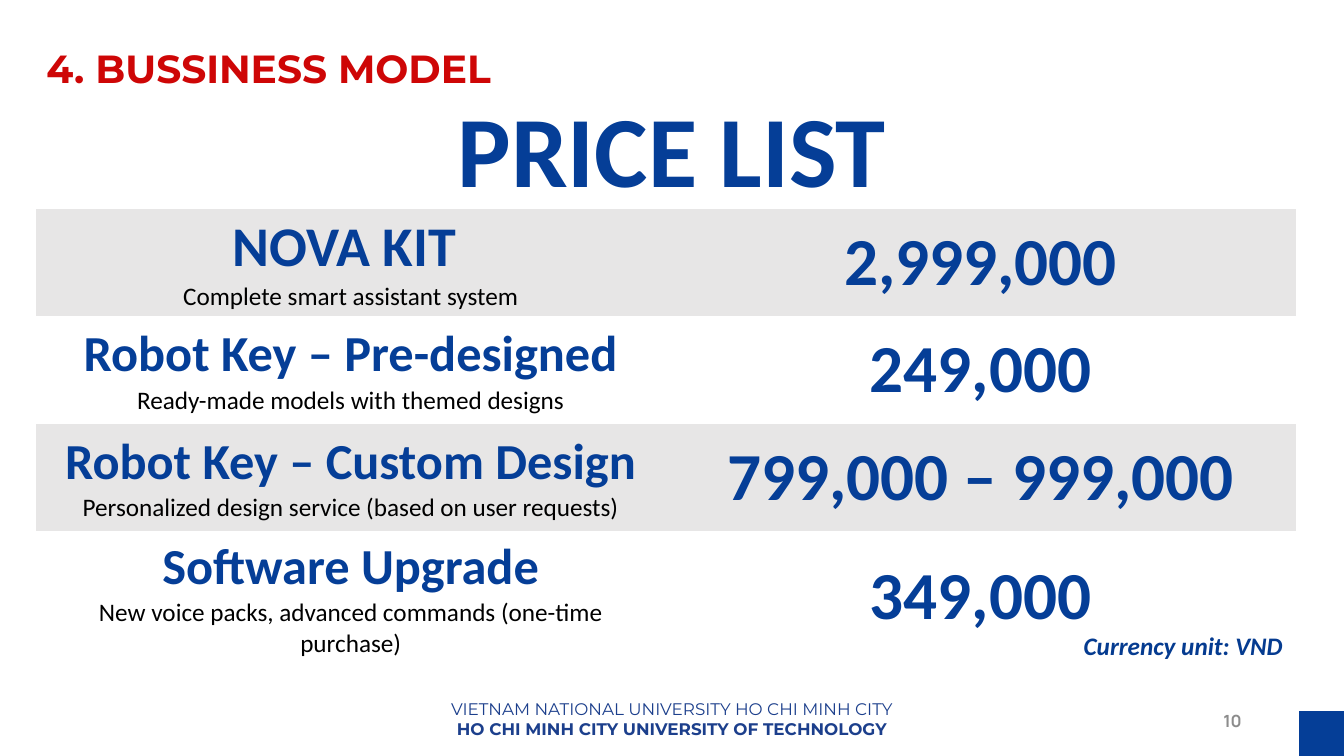
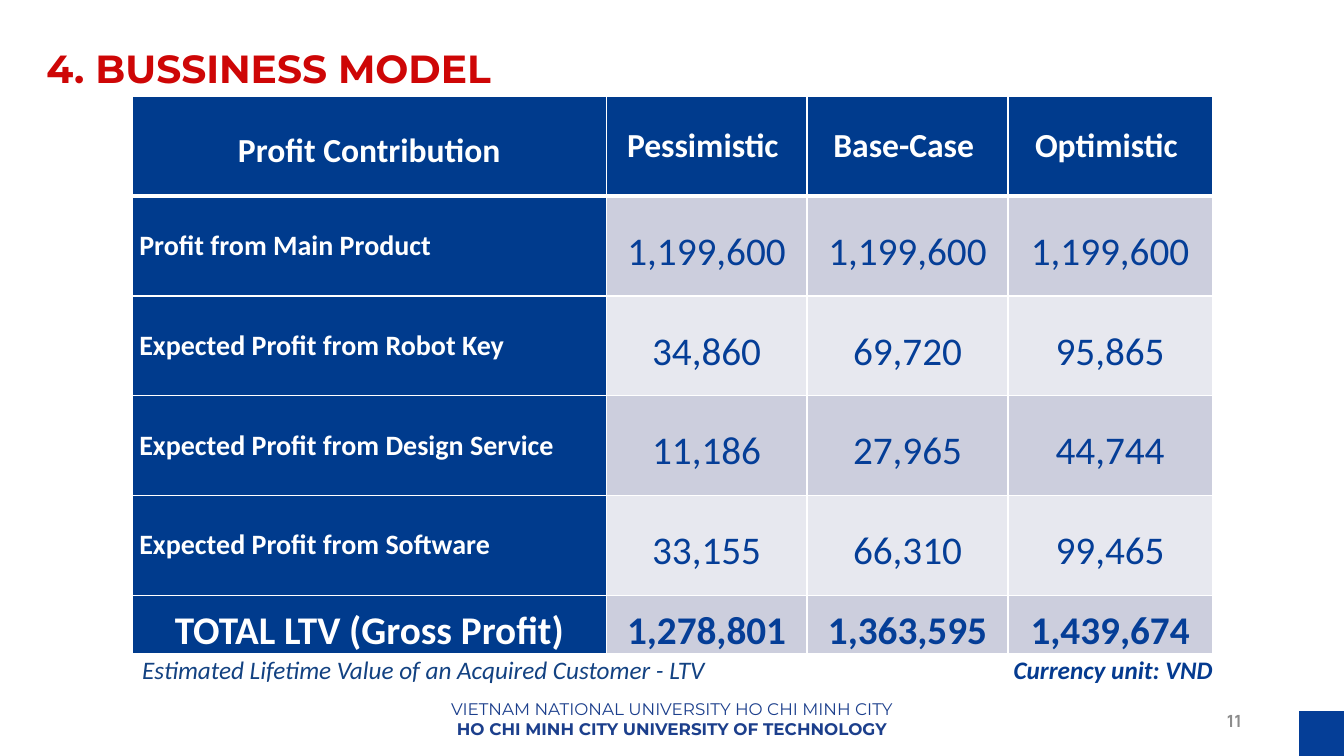
from dataclasses import dataclass
from lxml.etree import SubElement
from pptx import Presentation
from pptx.dml.color import RGBColor
from pptx.enum.shapes import MSO_SHAPE as Shape
from pptx.enum.text import MSO_ANCHOR as Anchor, MSO_AUTO_SIZE as AutoSize, PP_ALIGN as Align
from pptx.oxml.ns import qn
from pptx.util import Pt


@dataclass(frozen=True)
class Theme:
    blue: str = "053E97"
    header_blue: str = "003B8D"
    unit_blue: str = "053B90"
    caption_blue: str = "134282"
    footer_blue: str = "1C3F8C"
    red: str = "CE0606"
    grey: str = "8C8C8C"
    stripe: str = "E7E6E6"
    band_dark: str = "CCCEDD"
    band_light: str = "E7E8EF"
    white: str = "FFFFFF"
    black: str = "000000"
    body_font: str = "Calibri"
    brand_font: str = "Montserrat"
    number_font: str = "Manrope"
    small: int = 12
    note: int = 18
    label: int = 20
    heading: int = 24
    title: int = 28
    value: int = 28
    item: int = 36
    kit: int = 40
    price: int = 48
    banner: int = 72


THEME = Theme()
PLAIN_TABLE = "{2D5ABB26-0587-4C30-8999-92F81FD0307C}"


@dataclass(frozen=True)
class Style:
    size: int
    color: str
    bold: bool = False
    italic: bool = False
    align: Align = Align.CENTER
    font: str = THEME.body_font
    gap: int = 0
    spacing: float = 1.0


TITLE = Style(THEME.title, THEME.red, True, align=Align.LEFT, font=THEME.brand_font)
FOOTER = Style(THEME.small, THEME.footer_blue, font=THEME.brand_font)
FOOTER_BOLD = Style(THEME.small, THEME.footer_blue, True, font=THEME.brand_font)
NUMBER = Style(THEME.small, THEME.grey, True, align=Align.RIGHT, font=THEME.number_font)
BANNER = Style(THEME.banner, THEME.blue, True)
KIT = Style(THEME.kit, THEME.blue, True)
ITEM = Style(THEME.item, THEME.blue, True)
DETAIL = Style(THEME.note, THEME.black)
PRICE = Style(THEME.price, THEME.blue, True)
UNIT = Style(THEME.note, THEME.unit_blue, True, True, Align.LEFT)
CAPTION = Style(THEME.note, THEME.caption_blue, italic=True, align=Align.JUSTIFY)
CORNER = Style(THEME.heading, THEME.white, True, gap=6, spacing=1.25)
HEADING = Style(THEME.heading, THEME.white, True, gap=6)
LABEL = Style(THEME.label, THEME.white, True, align=Align.LEFT, gap=6)
VALUE = Style(THEME.value, THEME.blue, gap=6, spacing=1.25)
TOTAL_LABEL = Style(THEME.value, THEME.white, True, gap=6, spacing=1.25)
TOTAL = Style(THEME.value, THEME.blue, True, gap=6, spacing=1.25)

PRICES = [
    ("NOVA KIT ", KIT, "Complete smart assistant system", "2,999,000"),
    ("Robot Key – Pre-designed", ITEM, "Ready-made models with themed designs", "249,000"),
    ("Robot Key – Custom Design", ITEM,
     "Personalized design service (based on user requests)", "799,000 – 999,000"),
    ("Software Upgrade", ITEM,
     "New voice packs, advanced commands (one-time purchase)", "349,000"),
]
PROFITS = [
    ("Profit Contribution", "Pessimistic ", "Base-Case ", "Optimistic "),
    ("Profit from Main Product", "1,199,600", "1,199,600", "1,199,600"),
    ("Expected Profit from Robot Key", "34,860", "69,720", "95,865"),
    ("Expected Profit from Design Service", "11,186", "27,965", "44,744"),
    ("Expected Profit from Software", "33,155", "66,310", "99,465"),
    ("TOTAL LTV (Gross Profit)", "1,278,801", "1,363,595", "1,439,674"),
]


def write(frame, *lines):
    """Fill a text frame with (text, style) lines, one paragraph each."""
    for index, (text, style) in enumerate(lines):
        para = frame.add_paragraph() if index else frame.paragraphs[0]
        para.text = text
        para.alignment = style.align
        para.line_spacing = style.spacing
        if style.gap:
            para.space_before = para.space_after = Pt(style.gap)
        font = para.font
        font.name, font.size = style.font, Pt(style.size)
        font.bold, font.italic = style.bold, style.italic
        font.color.rgb = RGBColor.from_string(style.color)


def add_text(page, box, *lines, anchor=Anchor.TOP, wrap=True):
    frame = page.shapes.add_textbox(*map(Pt, box)).text_frame
    frame.word_wrap = wrap
    frame.vertical_anchor = anchor
    write(frame, *lines)


def add_page(deck, title, number):
    """Add a slide with the shared title, footer, number and corner square."""
    page = deck.slides.add_slide(deck.slide_layouts[5])
    heading = page.shapes.title
    heading.left, heading.top, heading.width, heading.height = map(Pt, (26, 28, 658, 41))
    frame = heading.text_frame
    frame.auto_size = AutoSize.NONE
    frame.word_wrap = True
    frame.vertical_anchor = Anchor.TOP
    write(frame, (title, TITLE))
    add_text(page, (0, 495.5, 960, 34),
             ("VIETNAM NATIONAL UNIVERSITY HO CHI MINH CITY", FOOTER),
             ("HO CHI MINH CITY UNIVERSITY OF TECHNOLOGY", FOOTER_BOLD))
    add_text(page, (857.5, 500.5, 36.5, 29), (str(number), NUMBER), anchor=Anchor.MIDDLE)
    side = 32
    corner = page.shapes.add_shape(
        Shape.RECTANGLE, Pt(960 - side), Pt(540 - side), Pt(side), Pt(side))
    corner.shadow.inherit = False
    corner.fill.solid()
    corner.fill.fore_color.rgb = RGBColor.from_string(THEME.blue)
    corner.line.fill.background()
    return page


def add_plain_table(page, left, top, widths, heights):
    table = page.shapes.add_table(len(heights), len(widths), Pt(left), Pt(top),
                                  Pt(sum(widths)), Pt(sum(heights))).table
    table.first_row = table.horz_banding = False
    table._tbl.tblPr.find(qn("a:tableStyleId")).text = PLAIN_TABLE
    for column, width in zip(table.columns, widths):
        column.width = Pt(width)
    for row, height in zip(table.rows, heights):
        row.height = Pt(height)
    return table


def fill_cell(cell, color, *lines):
    cell.vertical_anchor = Anchor.MIDDLE
    if color:
        cell.fill.solid()
        cell.fill.fore_color.rgb = RGBColor.from_string(color)
    else:
        cell.fill.background()
    write(cell.text_frame, *lines)


def add_borders(cell, top, bottom):
    """Draw white cell edges; top and bottom are widths in points."""
    properties = cell._tc.get_or_add_tcPr()
    for tag, width in (("lnL", 1), ("lnR", 1), ("lnT", top), ("lnB", bottom)):
        line = SubElement(properties, qn(f"a:{tag}"), w=str(Pt(width)))
        fill = SubElement(line, qn("a:solidFill"))
        SubElement(fill, qn("a:srgbClr"), val=THEME.white)


def add_price_table(page, left, top, width, row_height):
    table = add_plain_table(page, left, top, [width / 2] * 2, [row_height] * len(PRICES))
    for index, (name, style, detail, price) in enumerate(PRICES):
        color = None if index % 2 else THEME.stripe
        fill_cell(table.cell(index, 0), color, (name, style), (detail, DETAIL))
        fill_cell(table.cell(index, 1), color, (price, PRICE))


def profit_style(row, column):
    """Return the fill and text style for a cell of the profit table."""
    last = len(PROFITS) - 1
    if row == 0:
        return THEME.header_blue, HEADING if column else CORNER
    if column == 0:
        return THEME.header_blue, TOTAL_LABEL if row == last else LABEL
    band = THEME.band_dark if row % 2 else THEME.band_light
    return band, TOTAL if row == last else VALUE


def add_profit_table(page, left, top):
    heights = [71.25] * (len(PROFITS) - 1) + [39.5]
    table = add_plain_table(page, left, top, [338.5, 143.5, 143.5, 146], heights)
    for row, texts in enumerate(PROFITS):
        for column, text in enumerate(texts):
            cell = table.cell(row, column)
            cell.margin_left = cell.margin_right = Pt(5)
            cell.margin_top = cell.margin_bottom = 0
            add_borders(cell, 3 if row == 1 else 1, 3 if row == 0 else 1)
            color, style = profit_style(row, column)
            fill_cell(cell, color, (text, style))


def add_unit_note(page, left, top):
    add_text(page, (left, top, 158.5, 29), ("Currency unit: VND", UNIT), wrap=False)


def build_price_page(deck, title, number):
    page = add_page(deck, title, number)
    add_text(page, (311, 58, 338, 94.5), ("PRICE LIST", BANNER), anchor=Anchor.MIDDLE)
    add_price_table(page, 25.5, 149, 900, 76.75)
    add_unit_note(page, 767, 447)


def build_profit_page(deck, title, number):
    page = add_page(deck, title, number)
    add_profit_table(page, 94.5, 69)
    add_text(page, (94.5, 464, 417.5, 29),
             ("Estimated Lifetime Value of an Acquired Customer - LTV", CAPTION))
    add_unit_note(page, 717, 464)


def main():
    deck = Presentation()
    deck.slide_width, deck.slide_height = Pt(960), Pt(540)
    title = "4. BUSSINESS MODEL"
    for number, build in enumerate((build_price_page, build_profit_page), start=10):
        build(deck, title, number)
    deck.save("out.pptx")


if __name__ == "__main__":
    main()
